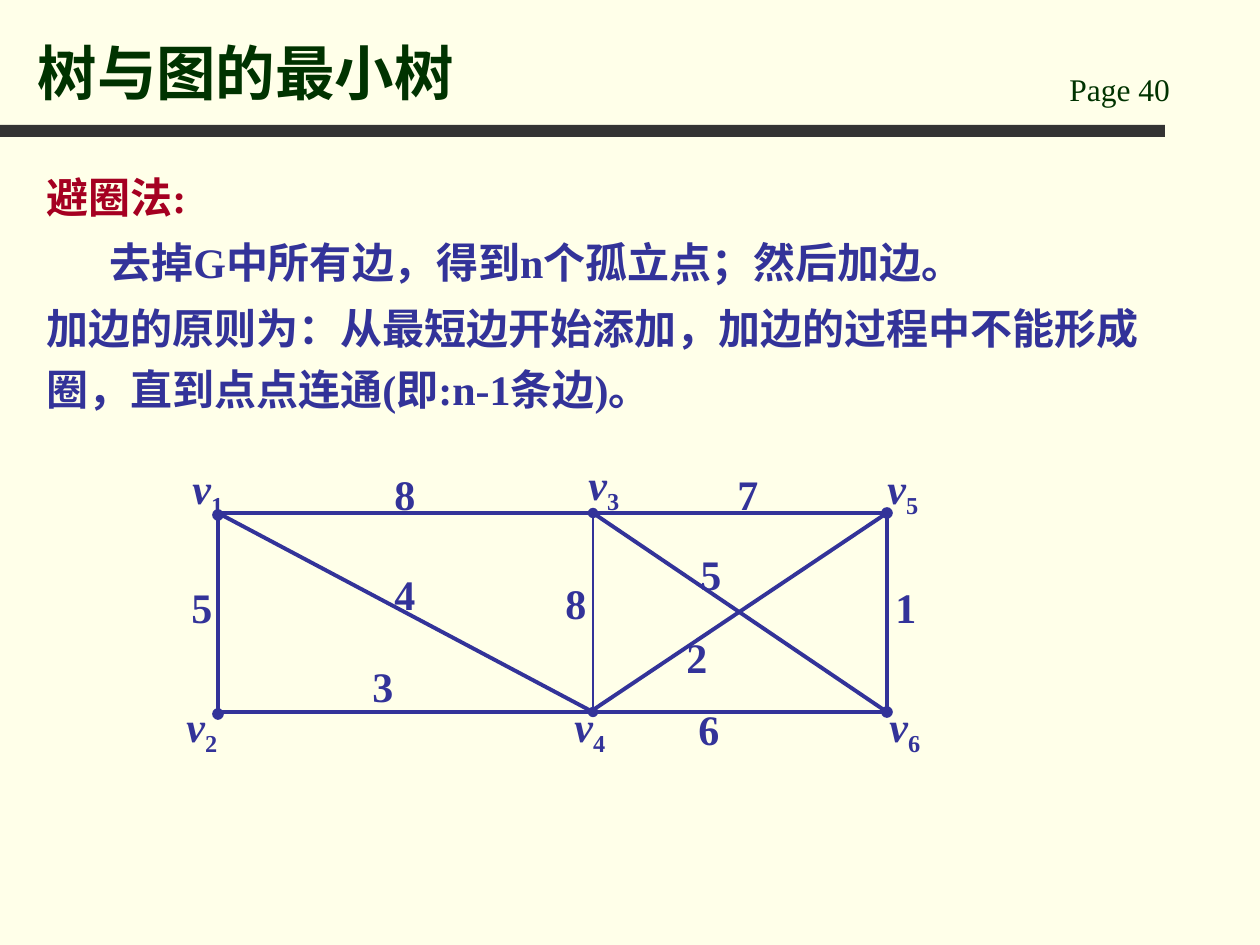
import pptx
import pptx.dml.color
import pptx.enum.shapes
import pptx.enum.text
import pptx.oxml.ns
import pptx.util
import lxml.etree

CREAM = pptx.dml.color.RGBColor(0xFF, 0xFF, 0xE9)
GREEN = pptx.dml.color.RGBColor(0x00, 0x33, 0x00)
CHARCOAL = pptx.dml.color.RGBColor(0x33, 0x33, 0x33)
CRIMSON = pptx.dml.color.RGBColor(0xA5, 0x00, 0x21)
INDIGO = pptx.dml.color.RGBColor(0x33, 0x33, 0x99)
EMU_PER_PX = 914400 / 126


def px(*lengths):
    return [pptx.util.Emu(round(n * EMU_PER_PX)) for n in lengths]


def style(run, size, color, bold=True):
    run.font.name = "Times New Roman"
    run.font.size = pptx.util.Pt(size)
    run.font.bold = bold
    run.font.color.rgb = color


presentation = pptx.Presentation()
presentation.slide_width, presentation.slide_height = px(1260, 945)
slide = presentation.slides.add_slide(presentation.slide_layouts[5])
slide.background.fill.solid()
slide.background.fill.fore_color.rgb = CREAM

# Header
rule = slide.shapes.add_shape(
    pptx.enum.shapes.MSO_SHAPE.RECTANGLE, *px(0, 125, 1165, 12))
rule.shadow.inherit = False
rule.fill.solid()
rule.fill.fore_color.rgb = CHARCOAL
rule.line.fill.background()

title = slide.shapes.title
title.left, title.top, title.width, title.height = px(25, 16, 1012, 98)
title.text_frame.text = "树与图的最小树"
title.text_frame.vertical_anchor = pptx.enum.text.MSO_ANCHOR.BOTTOM
title.text_frame.paragraphs[0].alignment = pptx.enum.text.PP_ALIGN.LEFT
style(title.text_frame.paragraphs[0].runs[0], 34, GREEN)

page_number = slide.shapes.add_textbox(*px(1057, 64, 179, 50))
page_number.text_frame.word_wrap = True
page_number.text_frame.text = "Page 40"
style(page_number.text_frame.paragraphs[0].runs[0], 18, GREEN, bold=False)

# Method
method = slide.shapes.add_textbox(*px(34, 155, 1121, 277)).text_frame
method.word_wrap = True
method.text = "\n".join([
    "避圈法:",
    "\t去掉G中所有边，得到n个孤立点；然后加边。",
    "加边的原则为：从最短边开始添加，加边的过程中不能形成圈，直到点点连通(即:n-1条边)。",
])
for index, paragraph in enumerate(method.paragraphs):
    paragraph.line_spacing = 1.2
    if index:
        paragraph.space_before = pptx.util.Pt(3)
    style(paragraph.runs[0], 24, INDIGO if index else CRIMSON)

# Graph edges: start, end, width in points, round ends
LEFT, MIDDLE, RIGHT = 218, 593, 887
TOP, BOTTOM = 513, 712
edges = [
    ((LEFT, TOP + 2), (LEFT, BOTTOM + 2), 2.25, True),
    ((LEFT, TOP), (MIDDLE, TOP), 2.25, False),
    ((LEFT, BOTTOM), (MIDDLE, BOTTOM), 2.25, False),
    ((LEFT, TOP), (MIDDLE, BOTTOM), 2.25, False),
    ((MIDDLE, TOP), (MIDDLE, BOTTOM), 0.75, True),
    ((MIDDLE, TOP), (RIGHT, TOP), 2.25, False),
    ((RIGHT, TOP), (MIDDLE, BOTTOM - 2), 2.25, False),
    ((MIDDLE, TOP), (RIGHT, BOTTOM), 2.25, False),
    ((MIDDLE, BOTTOM), (RIGHT, BOTTOM), 2.25, False),
    ((RIGHT, TOP), (RIGHT, BOTTOM), 2.25, True),
]
for start, end, width, has_dots in edges:
    edge = slide.shapes.add_connector(
        pptx.enum.shapes.MSO_CONNECTOR.STRAIGHT, *px(*start, *end))
    edge.line.color.rgb = INDIGO
    edge.line.width = pptx.util.Pt(width)
    if has_dots:
        outline = edge.line._get_or_add_ln()
        for tag in ("a:headEnd", "a:tailEnd"):
            lxml.etree.SubElement(outline, pptx.oxml.ns.qn(tag), type="oval")
    lxml.etree.SubElement(edge._element.spPr, pptx.oxml.ns.qn("a:effectLst"))

# Labels: text, subscript, left, top
labels = [
    ("v", "1", 180, 456), ("v", "2", 174, 694), ("v", "3", 576, 452),
    ("v", "4", 562, 694), ("v", "5", 875, 456), ("v", "6", 877, 694),
    ("5", "", 179, 575), ("8", "", 382, 462), ("4", "", 382, 562),
    ("3", "", 360, 654), ("7", "", 725, 462), ("5", "", 688, 542),
    ("2", "", 674, 625), ("6", "", 686, 697), ("1", "", 883, 575),
    ("8", "", 553, 571),
]
for text, subscript, left, top in labels:
    label = slide.shapes.add_textbox(*px(left, top, 58 if subscript else 46, 63))
    label.text_frame.word_wrap = False
    label.text_frame.text = text
    paragraph = label.text_frame.paragraphs[0]
    style(paragraph.runs[0], 24, INDIGO)
    if subscript:
        paragraph.runs[0].font.italic = True
        vertex_index = paragraph.add_run()
        vertex_index.text = subscript
        style(vertex_index, 24, INDIGO)
        vertex_index.font._element.set("baseline", "-25000")

presentation.save("out.pptx")
